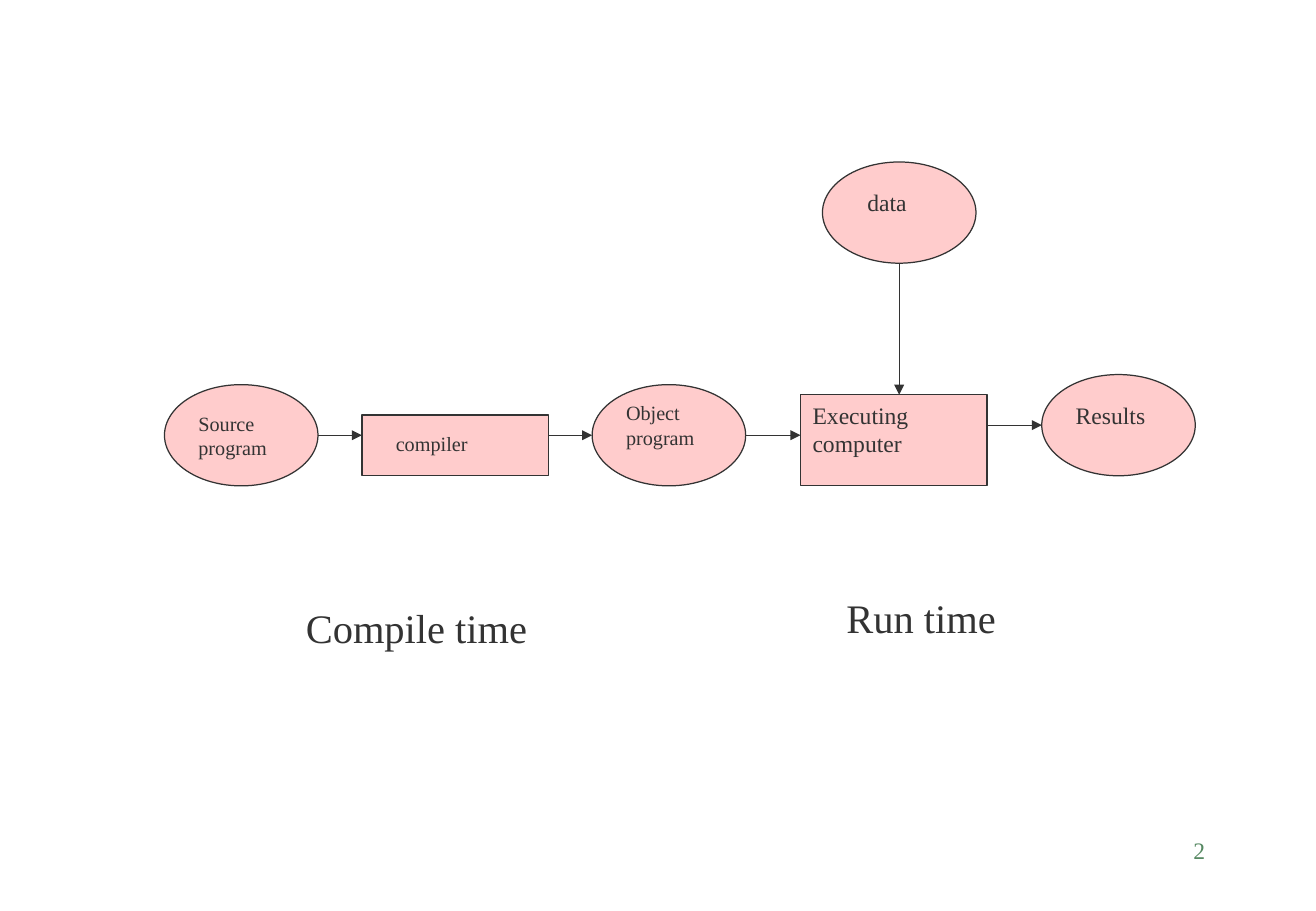
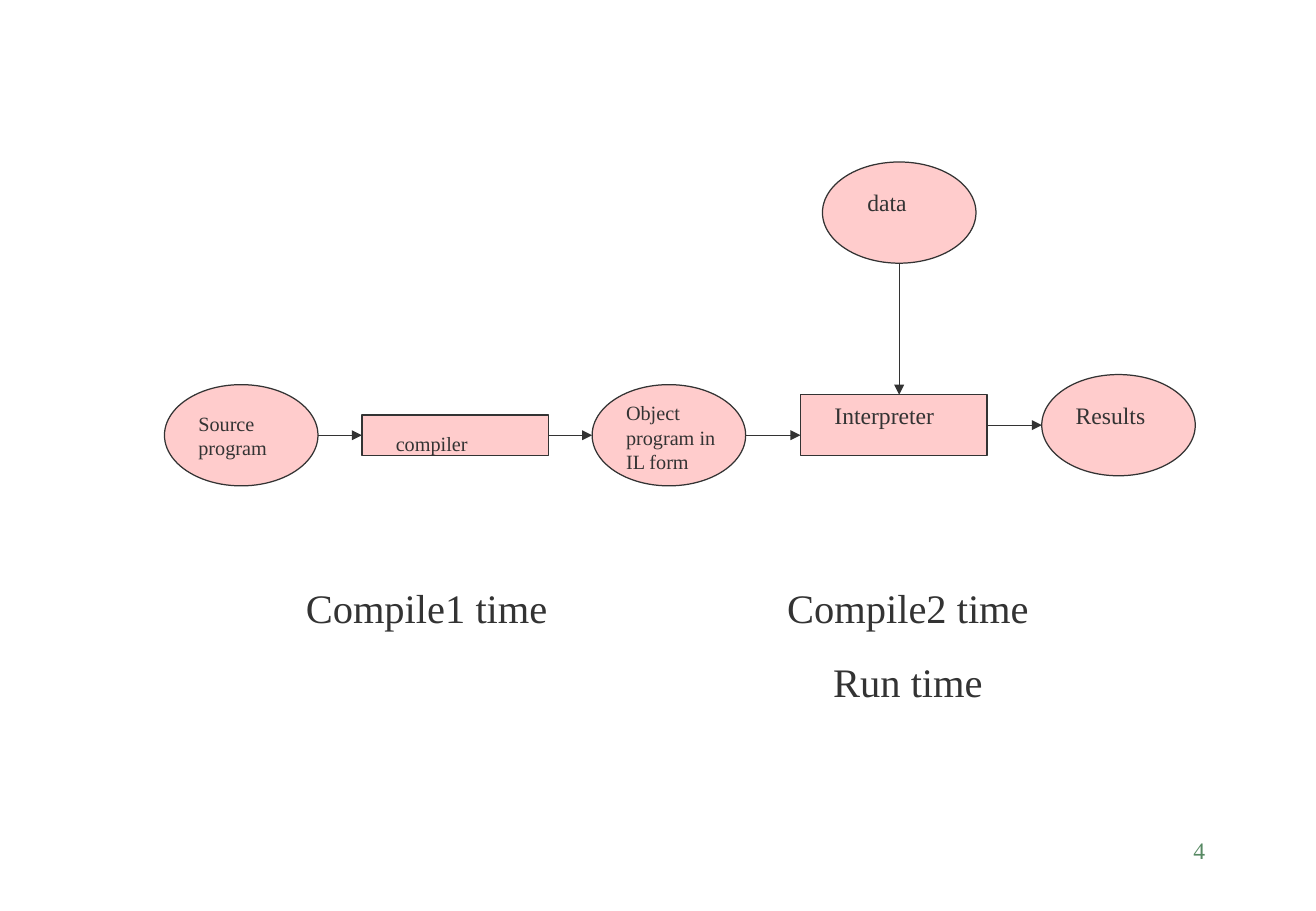
import dataclasses

import lxml.etree
import pptx
import pptx.dml.color
import pptx.enum.shapes
import pptx.enum.text
import pptx.oxml.ns
import pptx.util

SHAPE = pptx.enum.shapes.MSO_SHAPE
ALIGN = pptx.enum.text.PP_ALIGN


@dataclasses.dataclass(frozen=True)
class Theme:
    font: str = "Times New Roman"
    ink: str = "333333"
    fill: str = "FFCCCC"
    page_ink: str = "578963"
    line: float = 0.75
    small: int = 12
    medium: int = 14
    large: int = 24
    para_gap: int = 15


def rgb(code):
    return pptx.dml.color.RGBColor.from_string(code)


class Deck:
    """Holds the theme and current slide; lengths are grid columns and rows."""

    COLS, ROWS = 60, 90

    def __init__(self, theme, width, height):
        self.theme = theme
        self.prs = pptx.Presentation()
        self.prs.slide_width = pptx.util.Inches(width)
        self.prs.slide_height = pptx.util.Inches(height)

    def new_slide(self):
        self.s = self.prs.slides.add_slide(self.prs.slide_layouts[6])
        self.sites = {}

    def x(self, cols):
        return round(self.prs.slide_width * cols / self.COLS)

    def y(self, rows):
        return round(self.prs.slide_height * rows / self.ROWS)

    def frame(self, col, row, cols, rows):
        return self.x(col), self.y(row), self.x(cols), self.y(rows)

    def outline(self, line):
        line.color.rgb = rgb(self.theme.ink)
        line.width = pptx.util.Pt(self.theme.line)

    def node(self, kind, col, row, cols, rows):
        sp = self.s.shapes.add_shape(kind, *self.frame(col, row, cols, rows))
        sp.shadow.inherit = False
        sp.fill.solid()
        sp.fill.fore_color.rgb = rgb(self.theme.fill)
        self.outline(sp.line)
        if kind == SHAPE.RECTANGLE:
            mid_col, mid_row = col + cols / 2, row + rows / 2
            middles = ((mid_col, row), (col, mid_row),
                       (mid_col, row + rows), (col + cols, mid_row))
            self.sites.update({at: (sp, i) for i, at in enumerate(middles)})

    def ellipse(self, col, row):
        self.node(SHAPE.OVAL, col, row, 7, 10)

    def box(self, col, row, rows):
        self.node(SHAPE.RECTANGLE, col, row, 8.5, rows)

    def arrow(self, start, end):
        """Draw an arrow, joined to any rectangle whose side middle it meets."""
        cx = self.s.shapes.add_connector(
            pptx.enum.shapes.MSO_CONNECTOR.STRAIGHT,
            self.x(start[0]), self.y(start[1]), self.x(end[0]), self.y(end[1]))
        for at, join in ((start, cx.begin_connect), (end, cx.end_connect)):
            if at in self.sites:
                join(*self.sites[at])
        self.outline(cx.line)
        qn = pptx.oxml.ns.qn
        ln = cx.line._get_or_add_ln()
        lxml.etree.SubElement(ln, qn("a:tailEnd"), type="triangle")
        lxml.etree.SubElement(ln.getparent(), qn("a:effectLst"))

    def text(self, lines, col, row, cols, rows, size, align=ALIGN.LEFT, color=None):
        sp = self.s.shapes.add_textbox(*self.frame(col, row, cols, rows))
        tf = sp.text_frame
        tf.word_wrap = True
        for i, line in enumerate(lines.split("\n")):
            p = tf.add_paragraph() if i else tf.paragraphs[0]
            p.alignment = align
            if i:
                p.space_before = pptx.util.Pt(self.theme.para_gap)
            r = p.add_run()
            r.text = line
            style = {"name": self.theme.font, "size": pptx.util.Pt(size)}
            for name, value in style.items():
                setattr(r.font, name, value)
            r.font.color.rgb = rgb(color or self.theme.ink)

    def page_number(self, number):
        self.text(number, 43, 82, 12.5, 6, self.theme.medium,
                  ALIGN.RIGHT, self.theme.page_ink)


def pipeline_slide(deck, page, compiler_rows, runner_rows, labels):
    """Draw the compile-and-run pipeline; labels add to the shared ones."""
    t = deck.theme
    deck.new_slide()
    deck.page_number(page)
    for col, row in ((7.5, 38), (47.5, 37), (27, 38), (37.5, 16)):
        deck.ellipse(col, row)
    deck.box(16.5, 41, compiler_rows)
    deck.box(36.5, 39, runner_rows)
    flow, result_row, data_col = 43, 42, 41
    for start, end in (((14.5, flow), (16.5, flow)),
                       ((data_col, 26), (data_col, 39)),
                       ((25, flow), (27, flow)),
                       ((34, flow), (36.5, flow)),
                       ((45, result_row), (47.5, result_row))):
        deck.arrow(start, end)
    shared = [
        ("Source program", 8.5, 40, 5.5, 6, t.small),
        ("compiler", 17.5, 42, 6.5, 3.6, t.small),
        ("data", 39, 18, 4, 4, t.medium),
        ("Results", 48.5, 39, 6, 4, t.medium),
    ]
    for label in shared + labels:
        deck.text(*label)


def main():
    t = Theme()
    deck = Deck(t, 10.84, 7.5)
    pipeline_slide(deck, "2", 6, 9, [
        ("Object program", 28, 39, 5, 6, t.small),
        ("Executing computer", 36.5, 39, 8, 6.8, t.medium),
        ("Compile time", 13.4, 59, 15.5, 6, t.large),
        ("Run time", 32, 58, 20, 6, t.large, ALIGN.CENTER),
    ])
    pipeline_slide(deck, "4", 4, 6, [
        ("Object program in IL form", 28, 39, 6, 8.4, t.small),
        ("Interpreter", 37.5, 39, 7, 4, t.medium),
        ("Compile1 time", 13.4, 57, 15.5, 6, t.large),
        ("Compile2 time\nRun time", 31.4, 57, 20, 13.3, t.large, ALIGN.CENTER),
    ])
    deck.prs.save("out.pptx")


if __name__ == "__main__":
    main()
